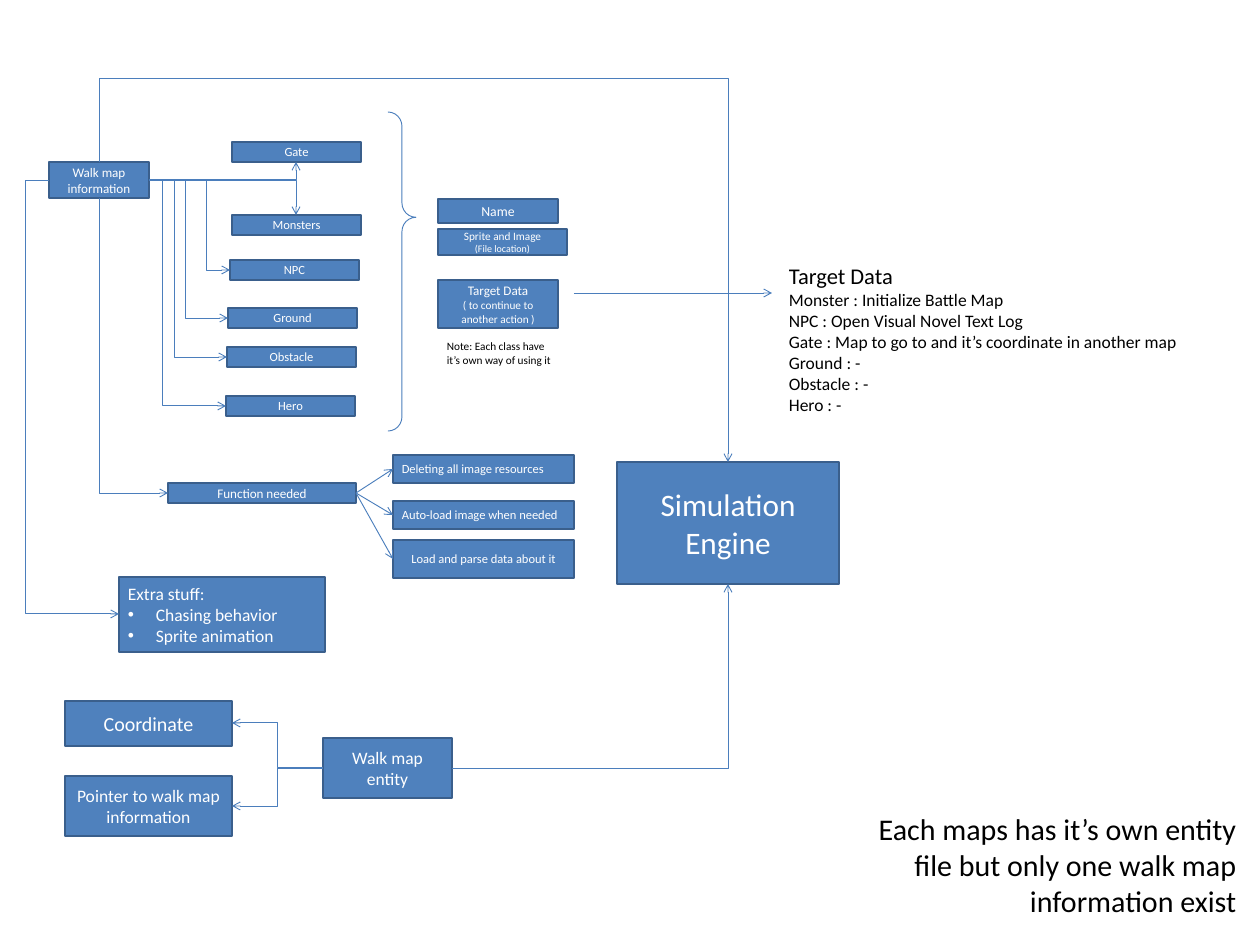
from dataclasses import dataclass

from lxml import etree
from pptx import Presentation
from pptx.dml.color import RGBColor
from pptx.enum.shapes import MSO_CONNECTOR, MSO_SHAPE
from pptx.enum.text import MSO_ANCHOR, PP_ALIGN
from pptx.oxml.ns import qn
from pptx.util import Pt

PX = 10160  # EMU per px, 90 px to the inch
FONT = "Calibri"
COLORS = {"fill": "4F81BD", "border": "3A5F8C", "arrow": "4B7EBC",
          "light": "FFFFFF", "dark": "000000"}
LEFT, CENTER, RIGHT = PP_ALIGN.LEFT, PP_ALIGN.CENTER, PP_ALIGN.RIGHT
MIDDLE, TOP = MSO_ANCHOR.MIDDLE, MSO_ANCHOR.TOP
STRAIGHT, ELBOW = MSO_CONNECTOR.STRAIGHT, MSO_CONNECTOR.ELBOW
LEFT_SITE, RIGHT_SITE = 1, 3
Point = tuple[int, int]


@dataclass(frozen=True)
class Line:
    text: str
    size: float
    bullet: bool = False


@dataclass(frozen=True)
class Box:
    x: int
    y: int
    w: int
    h: int
    lines: tuple[Line, ...]
    align: PP_ALIGN = CENTER

    @property
    def left(self) -> Point:
        return self.x, self.y + self.h // 2

    @property
    def right(self) -> Point:
        return self.x + self.w, self.y + self.h // 2

    @property
    def top(self) -> Point:
        return self.x + self.w // 2, self.y

    @property
    def bottom(self) -> Point:
        return self.x + self.w // 2, self.y + self.h


@dataclass(frozen=True)
class Elbow:
    """Bent arrow: with a via it turns twice at that x (or y, if it starts downward)."""
    start: Point
    end: Point
    via: int | None = None
    vertical: bool = False


def rgb(name: str) -> RGBColor:
    return RGBColor.from_string(COLORS[name])


def write_text(frame, lines: tuple[Line, ...], *, color: str, align=LEFT,
               anchor=TOP, wrap: bool = True) -> None:
    frame.word_wrap = wrap
    frame.vertical_anchor = anchor
    for i, line in enumerate(lines):
        paragraph = frame.add_paragraph() if i else frame.paragraphs[0]
        paragraph.alignment = align
        run = paragraph.add_run()
        run.text = line.text
        run.font.name, run.font.size = FONT, Pt(line.size)
        run.font.color.rgb = rgb(color)
        if line.bullet:
            props = paragraph._p.get_or_add_pPr()
            props.set("marL", str(28 * PX))
            props.set("indent", str(-28 * PX))
            etree.SubElement(props, qn("a:buFont")).set("typeface", "Arial")
            etree.SubElement(props, qn("a:buChar")).set("char", "•")


def draw_box(shapes, box: Box):
    shape = shapes.add_shape(MSO_SHAPE.RECTANGLE, *(v * PX for v in (box.x, box.y, box.w, box.h)))
    shape.shadow.inherit = False
    shape.fill.solid()
    shape.fill.fore_color.rgb = rgb("fill")
    shape.line.color.rgb = rgb("border")
    shape.line.width = Pt(2)
    write_text(shape.text_frame, box.lines, color="light", align=box.align, anchor=MIDDLE)
    return shape


def draw_note(shapes, note: Box, wrap: bool = True) -> None:
    area = shapes.add_textbox(*(v * PX for v in (note.x, note.y, note.w, note.h)))
    write_text(area.text_frame, note.lines, color="dark", align=note.align, wrap=wrap)


def draw_arrow(shapes, start: Point, end: Point, kind=STRAIGHT):
    arrow = shapes.add_connector(kind, *(int(v * PX) for v in (*start, *end)))
    arrow.line.color.rgb = rgb("arrow")
    arrow.line.width = Pt(0.75)
    etree.SubElement(arrow.line._get_or_add_ln(), qn("a:tailEnd")).set("type", "arrow")
    etree.SubElement(arrow._element.spPr, qn("a:effectLst"))
    return arrow


def draw_elbow(shapes, elbow: Elbow) -> None:
    (x1, y1), (x2, y2) = elbow.start, elbow.end
    if elbow.vertical:
        # A route starting downward is a sideways one, turned about its centre.
        cx, cy, dx, dy = (x1 + x2) / 2, (y1 + y2) / 2, (x2 - x1) / 2, (y2 - y1) / 2
        arrow = draw_arrow(shapes, (cx - dy, cy - dx), (cx + dy, cy + dx), ELBOW)
        transform = arrow._element.spPr.find(qn("a:xfrm"))
        transform.set("rot", str(270 * 60000))
        transform.set("flipH", "1")
        first, last = y1, y2
    else:
        arrow = draw_arrow(shapes, elbow.start, elbow.end, ELBOW)
        first, last = x1, x2
    geometry = arrow._element.spPr.find(qn("a:prstGeom"))
    if elbow.via is None:
        geometry.set("prst", "bentConnector2")
    else:
        share = round((elbow.via - first) / (last - first) * 100000)
        guide = etree.SubElement(geometry.find(qn("a:avLst")), qn("a:gd"))
        guide.set("name", "adj1")
        guide.set("fmla", f"val {share}")


def draw_brace(shapes) -> None:
    brace = shapes.add_shape(MSO_SHAPE.RIGHT_BRACE, *(v * PX for v in (388, 112, 28, 319)))
    brace.shadow.inherit = False
    brace.adjustments[0], brace.adjustments[1] = 0.51, 0.33
    brace.fill.background()
    brace.line.color.rgb = rgb("arrow")
    brace.line.width = Pt(0.75)


def main() -> None:
    deck = Presentation()
    deck.slide_width, deck.slide_height = 1260 * PX, 945 * PX
    shapes = deck.slides.add_slide(deck.slide_layouts[6]).shapes

    walk_map = Box(49, 162, 100, 36, (Line("Walk map information", 10.5),))
    gate, monsters, npc, ground, obstacle, hero = (
        Box(x, y, 129, 20, (Line(name, 10),)) for name, x, y in (
            ("Gate", 232, 142), ("Monsters", 232, 215), ("NPC", 230, 260),
            ("Ground", 228, 308), ("Obstacle", 227, 347), ("Hero", 226, 396)))
    fields = (
        Box(438, 199, 120, 24, (Line("Name", 11),)),
        Box(438, 229, 129, 26, (Line("Sprite and Image", 9), Line("(File location)", 8))),
        Box(438, 280, 120, 48, (Line("Target Data", 10.5),
                                Line("( to continue to another action )", 9))))
    needed = Box(168, 483, 188, 20, (Line("Function needed", 10.5),))
    functions = (
        Box(393, 455, 181, 28, (Line("Deleting all image resources", 10),), LEFT),
        Box(393, 501, 181, 28, (Line("Auto-load image when needed", 10),), LEFT),
        Box(393, 540, 181, 38, (Line("Load and parse data about it", 10),)))
    extra = Box(119, 577, 206, 75, (Line("Extra stuff:", 14),
                                    Line("Chasing behavior", 14, bullet=True),
                                    Line("Sprite animation", 14, bullet=True)), LEFT)
    entity = Box(323, 738, 129, 60, (Line("Walk map entity", 14),))
    coordinate = Box(65, 701, 167, 45, (Line("Coordinate", 16),))
    pointer = Box(65, 776, 167, 60, (Line("Pointer to walk map information", 14),))
    engine = Box(617, 462, 222, 122, (Line("Simulation", 25), Line("Engine", 25)))

    for box in (walk_map, gate, monsters, npc, ground, obstacle, hero, *fields,
                extra, entity, coordinate, pointer, engine):
        draw_box(shapes, box)
    draw_brace(shapes)

    needed_shape = draw_box(shapes, needed)
    for function in functions:
        function_shape = draw_box(shapes, function)
        arrow = draw_arrow(shapes, needed.right, function.left)
        arrow.begin_connect(needed_shape, RIGHT_SITE)
        arrow.end_connect(function_shape, LEFT_SITE)

    for elbow in (
            Elbow(walk_map.right, gate.bottom),
            Elbow(walk_map.right, monsters.top),
            Elbow(walk_map.right, npc.left, via=206),
            Elbow(walk_map.right, ground.left, via=185),
            Elbow(walk_map.right, obstacle.left, via=175),
            Elbow(walk_map.right, hero.left, via=162),
            Elbow(walk_map.bottom, needed.left, vertical=True),
            Elbow(walk_map.left, extra.left, via=26),
            Elbow(walk_map.top, engine.top, via=78, vertical=True),
            Elbow(entity.left, coordinate.right, via=278),
            Elbow(entity.left, pointer.right, via=278),
            Elbow(entity.right, engine.bottom)):
        draw_elbow(shapes, elbow)
    draw_arrow(shapes, (574, 293), (772, 293))

    draw_note(shapes, Box(438, 335, 129, 36, (
        Line("Note: Each class have it’s own way of using it", 9),), LEFT))
    draw_note(shapes, Box(862, 806, 383, 118, (
        Line("Each maps has it’s own entity file but only one walk map information exist", 24),),
        RIGHT))
    draw_note(shapes, Box(780, 258, 410, 164, (Line("Target Data", 18), *(
        Line(text, 14) for text in (
            "Monster : Initialize Battle Map", "NPC : Open Visual Novel Text Log",
            "Gate : Map to go to and it’s coordinate in another map",
            "Ground : -", "Obstacle : -", "Hero : -"))), LEFT), wrap=False)

    deck.save("out.pptx")


if __name__ == "__main__":
    main()
